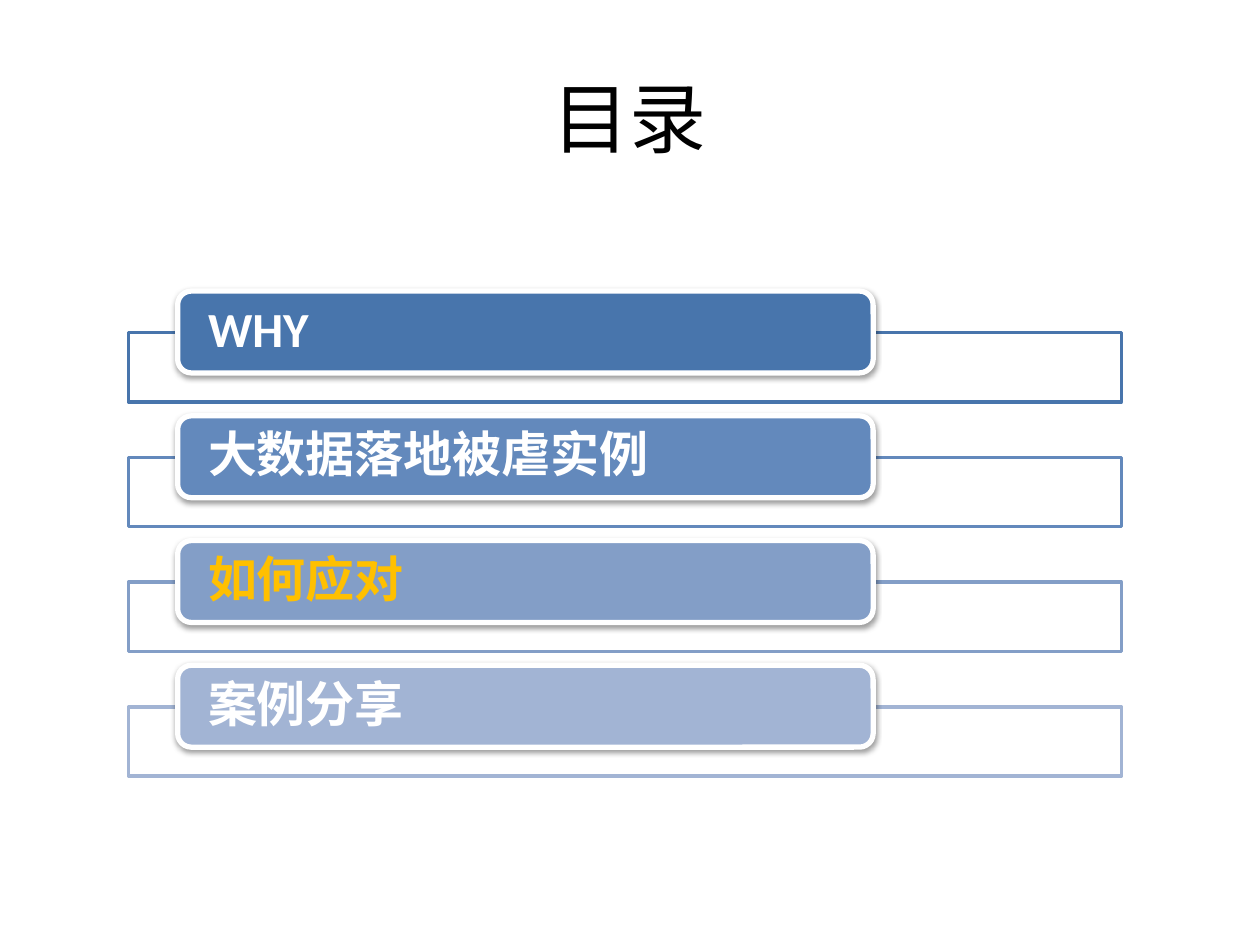
from dataclasses import dataclass

from lxml import etree
from pptx import Presentation
from pptx.dml.color import RGBColor
from pptx.enum.shapes import MSO_SHAPE
from pptx.enum.text import MSO_ANCHOR, PP_ALIGN
from pptx.oxml.ns import qn
from pptx.util import Inches, Pt

RECT, ROUND_RECT = MSO_SHAPE.RECTANGLE, MSO_SHAPE.ROUNDED_RECTANGLE
MIDDLE = MSO_ANCHOR.MIDDLE
LEFT, CENTER = PP_ALIGN.LEFT, PP_ALIGN.CENTER
FONT = "Calibri"
COLORS = {
    "black": "000000", "white": "FFFFFF", "gold": "FFC000",
    "blue1": "4875AC", "blue2": "6389BC", "blue3": "839EC7", "blue4": "A2B4D4",
}
TOP, PITCH = 2.31, 0.99   # first bar and step between agenda rows
FRAME_DROP = 0.33         # frame top below its bar top


@dataclass
class AgendaItem:
    text: str
    fill: str
    color: str = "white"


ITEMS = [
    AgendaItem("WHY", "blue1"),
    AgendaItem("大数据落地被虐实例", "blue2"),
    AgendaItem("如何应对", "blue3", "gold"),
    AgendaItem("案例分享", "blue4"),
]


def rgb(name: str) -> RGBColor:
    return RGBColor.from_string(COLORS[name])


def add_box(s, kind, x: float, y: float, w: float, h: float,
            fill: str, line: str, width: float):
    sp = s.shapes.add_shape(kind, Inches(x), Inches(y), Inches(w), Inches(h))
    sp.shadow.inherit = False
    sp.fill.solid()
    sp.fill.fore_color.rgb = rgb(fill)
    sp.line.color.rgb = rgb(line)
    sp.line.width = Pt(width)
    return sp


def set_alpha(clr, percent: int) -> None:
    etree.SubElement(clr, qn("a:alpha"), val=str(percent * 1000))


def add_drop_shadow(sp) -> None:
    effects = sp._element.spPr.find(qn("a:effectLst"))
    shadow = etree.SubElement(effects, qn("a:outerShdw"), blurRad=str(Pt(3.1)),
                              dist=str(Pt(1.6)), dir="5400000", rotWithShape="0")
    set_alpha(etree.SubElement(shadow, qn("a:srgbClr"), val=COLORS["black"]), 38)


def write_text(sp, text: str, size: int, color: str, align, bold: bool = False):
    tf = sp.text_frame
    tf.word_wrap = True
    tf.vertical_anchor = MIDDLE
    p = tf.paragraphs[0]
    p.alignment = align
    r = p.add_run()
    r.text = text
    r.font.name = FONT
    r.font.size = Pt(size)
    r.font.bold = bold
    r.font.color.rgb = rgb(color)
    return tf


def add_agenda_row(s, item: AgendaItem, y: float) -> None:
    # Translucent frame behind the bar
    frame = add_box(s, RECT, 1.02, y + FRAME_DROP, 7.88, 0.55, "white", item.fill, 2)
    set_alpha(frame._element.spPr.find(qn("a:solidFill"))[0], 90)

    # Labelled bar
    bar = add_box(s, ROUND_RECT, 1.41, y, 5.52, 0.65, item.fill, "white", 3)
    add_drop_shadow(bar)
    tf = write_text(bar, item.text, 28, item.color, LEFT, bold=True)
    tf.margin_left = tf.margin_right = Inches(0.21)
    tf.margin_top = tf.margin_bottom = 0
    tf.paragraphs[0].line_spacing = 0.9


def main() -> None:
    prs = Presentation()
    prs.slide_width, prs.slide_height = Inches(10), Inches(7.5)
    s = prs.slides.add_slide(prs.slide_layouts[6])

    # Title
    title = s.shapes.add_textbox(Inches(0.5), Inches(0.3), Inches(9), Inches(1.25))
    write_text(title, "目录", 44, "black", CENTER)

    # Agenda
    for i, item in enumerate(ITEMS):
        add_agenda_row(s, item, TOP + i * PITCH)

    prs.save("out.pptx")


if __name__ == "__main__":
    main()
